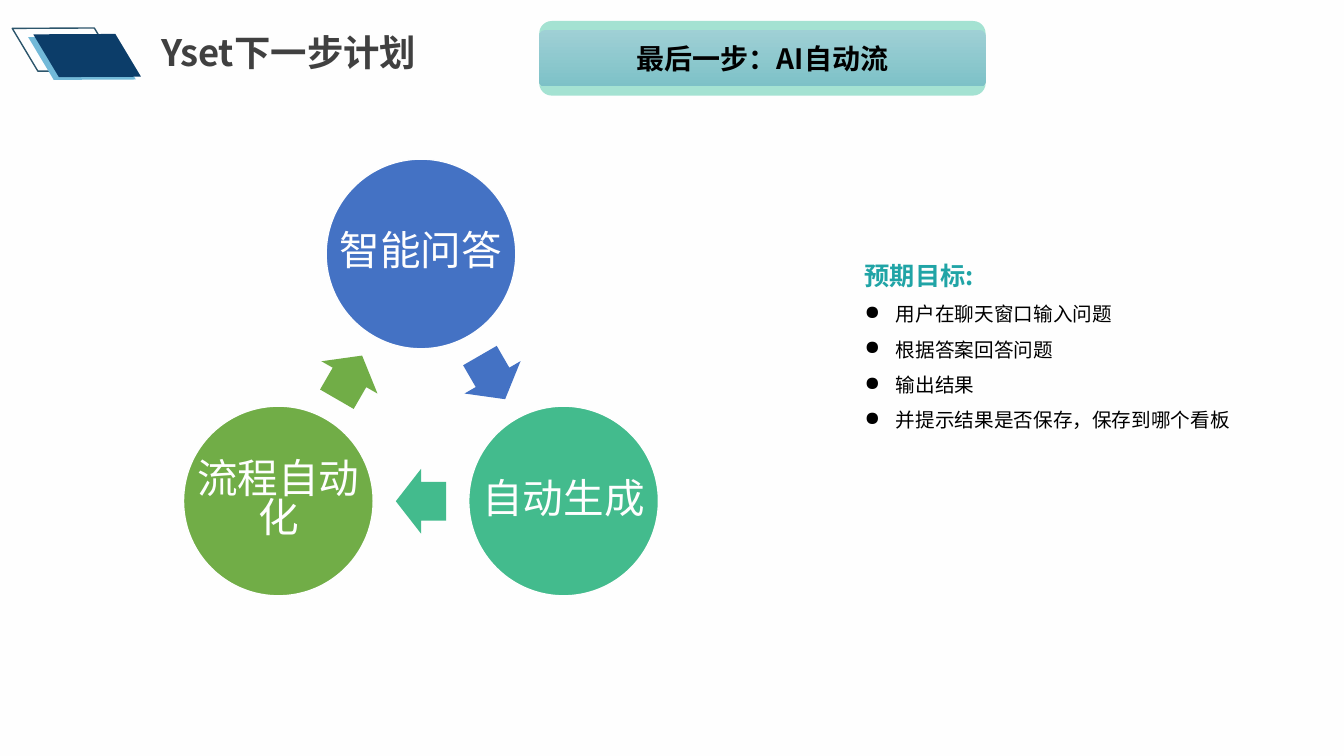
"""Build the next-step plan slide with its three-stage automation cycle."""
from dataclasses import dataclass
from math import cos, radians, sin
from typing import Optional

from lxml import etree
from pptx import Presentation
from pptx import util as u
from pptx.dml import color
from pptx.enum import shapes, text
from pptx.oxml import ns

FONT = "Noto Sans CJK SC"
PAPER = "FEFEFE"
CYCLE_X, CYCLE_Y = 10.61, 10.55
STAGE_RADIUS, ARROW_RADIUS = 4.15, 2.08
STAGE_SIZE = 4.78
ARROW_WIDTH, ARROW_HEIGHT = 1.27, 1.63


@dataclass
class Box:
    left: float
    top: float
    width: float
    height: float

    def lengths(self) -> list:
        return [u.Cm(v) for v in (self.left, self.top, self.width, self.height)]


@dataclass
class Stage:
    label: str
    fill: str
    angle: float


@dataclass
class Flag:
    left: float
    top: float
    fill: Optional[str] = None
    line: Optional[str] = None


STAGES = [
    Stage("智能问答", "4472C4", -90),
    Stage("自动生成", "43BB8D", 30),
    Stage("流程自动化", "71AD47", 150),
]
FLAGS = [
    Flag(0.51, 0.36, line="2C556B"),
    Flag(0.91, 0.58, fill="72B9D8"),
    Flag(1.04, 0.51, fill="0C3D69"),
]
GOALS = ["用户在聊天窗口输入问题", "根据答案回答问题", "输出结果", "并提示结果是否保存，保存到哪个看板"]


def rgb(value: str) -> color.RGBColor:
    return color.RGBColor.from_string(value)


def on_cycle(radius: float, angle: float, width: float, height: float) -> Box:
    x = CYCLE_X + radius * cos(radians(angle))
    y = CYCLE_Y + radius * sin(radians(angle))
    return Box(x - width / 2, y - height / 2, width, height)


def add_figure(slide, kind, box: Box, fill: Optional[str] = None, line: Optional[str] = None,
               rotation: float = 0, adjustments: tuple = ()):
    figure = slide.shapes.add_shape(kind, *box.lengths())
    figure.shadow.inherit = False
    figure.rotation = rotation
    for index, value in enumerate(adjustments):
        figure.adjustments[index] = value
    if fill:
        figure.fill.solid()
        figure.fill.fore_color.rgb = rgb(fill)
    else:
        figure.fill.background()
    if line:
        figure.line.color.rgb = rgb(line)
        figure.line.width = u.Pt(1)
    else:
        figure.line.fill.background()
    return figure


def add_frame(slide, box: Box, inset: tuple = (0.25, 0.13), middle: bool = False):
    frame = slide.shapes.add_textbox(*box.lengths()).text_frame
    frame.word_wrap = True
    frame.margin_left = frame.margin_right = u.Cm(inset[0])
    frame.margin_top = frame.margin_bottom = u.Cm(inset[1])
    frame.vertical_anchor = text.MSO_ANCHOR.MIDDLE if middle else text.MSO_ANCHOR.TOP
    return frame


def write(frame, words: str, *, size: float, ink: str, bold: bool = False, centred: bool = False,
          spacing: float = 1.0, bullet: Optional[str] = None) -> None:
    paragraph = frame.paragraphs[0] if not frame.text else frame.add_paragraph()
    paragraph.alignment = text.PP_ALIGN.CENTER if centred else text.PP_ALIGN.LEFT
    paragraph.line_spacing = spacing
    if bullet:
        properties = paragraph._p.get_or_add_pPr()
        properties.set("marL", str(u.Cm(0.79)))
        properties.set("indent", str(-u.Cm(0.79)))
        etree.SubElement(properties, ns.qn("a:buChar")).set("char", bullet)
    run = paragraph.add_run()
    run.text = words
    run.font.size = u.Pt(size)
    run.font.bold = bold
    run.font.color.rgb = rgb(ink)
    run.font.name = FONT
    etree.SubElement(run._r.get_or_add_rPr(), ns.qn("a:ea")).set("typeface", FONT)


def draw_header(slide) -> None:
    kinds = shapes.MSO_SHAPE
    add_figure(slide, kinds.ROUNDED_RECTANGLE, Box(13.59, 0.53, 11.25, 1.88), "A4E2D2")
    for flag in FLAGS:
        add_figure(slide, kinds.PARALLELOGRAM, Box(flag.left, flag.top, 2.31, 1.78),
                   flag.fill, flag.line, 59.1, (0.592,))
    title = add_frame(slide, Box(3.81, 0.64, 8.33, 1.57))
    write(title, "Yset下一步计划", size=26, ink="404040", bold=True)

    panel_box = Box(13.59, 0.76, 11.25, 1.42)
    panel = add_figure(slide, kinds.ROUNDED_RECTANGLE, panel_box, adjustments=(0.1,))
    panel.fill.gradient()
    panel.fill.gradient_angle = 270
    for stop, shade, position in zip(panel.fill.gradient_stops, ("9FD0D5", "7DC1C7"), (0, 1)):
        stop.color.rgb = rgb(shade)
        stop.position = position
    step = add_frame(slide, panel_box, (0.2, 0.2), middle=True)
    write(step, "最后一步：AI自动流", size=20, ink="000000", bold=True, centred=True)


def draw_goals(slide) -> None:
    goals = add_frame(slide, Box(21.54, 6.05, 11.25, 6.45))
    write(goals, "预期目标:", size=18, ink="20A4A6", bold=True, spacing=1.5)
    for goal in GOALS:
        write(goals, goal, size=14, ink="000000", spacing=1.5, bullet="●")


def draw_cycle(slide) -> None:
    for stage in STAGES:
        circle = on_cycle(STAGE_RADIUS, stage.angle, STAGE_SIZE, STAGE_SIZE)
        add_figure(slide, shapes.MSO_SHAPE.OVAL, circle, stage.fill, PAPER)
        label = add_frame(slide, circle, (0.1, 0.1), middle=True)
        write(label, stage.label, size=29, ink=PAPER, centred=True, spacing=0.82)
        halfway = stage.angle + 60
        arrow = on_cycle(ARROW_RADIUS, halfway, ARROW_WIDTH, ARROW_HEIGHT)
        add_figure(slide, shapes.MSO_SHAPE.RIGHT_ARROW, arrow, stage.fill,
                   rotation=halfway + 90, adjustments=(0.6, 0.5))


def main() -> None:
    deck = Presentation()
    deck.slide_width, deck.slide_height = u.Cm(33.87), u.Cm(19.05)
    slide = deck.slides.add_slide(deck.slide_layouts[6])
    slide.background.fill.solid()
    slide.background.fill.fore_color.rgb = rgb(PAPER)
    draw_header(slide)
    draw_goals(slide)
    draw_cycle(slide)
    deck.save("out.pptx")


if __name__ == "__main__":
    main()
